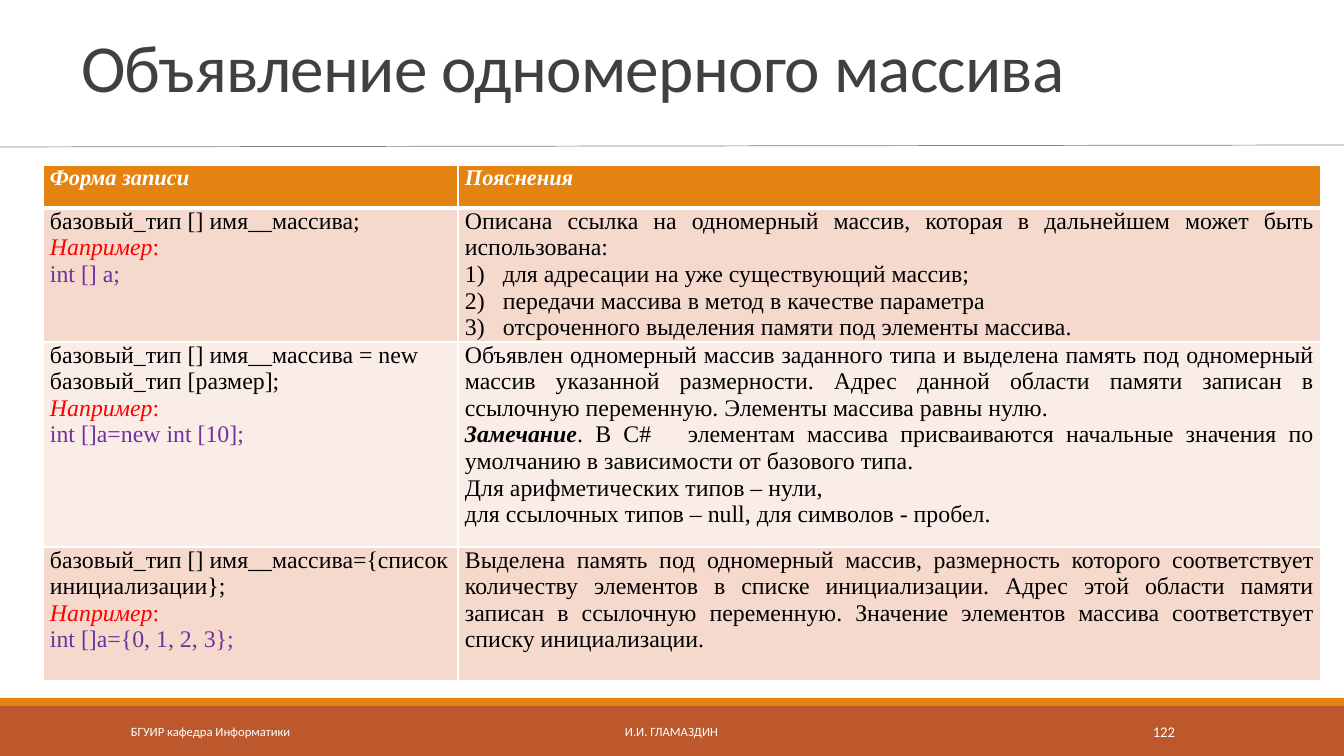
"""Builds the slide on declaring a one-dimensional array."""
from lxml.etree import SubElement
from pptx import Presentation
from pptx.dml.color import RGBColor
from pptx.enum.shapes import MSO_CONNECTOR, MSO_SHAPE
from pptx.enum.text import MSO_ANCHOR, MSO_AUTO_SIZE, PP_ALIGN
from pptx.oxml import parse_xml
from pptx.oxml.ns import nsdecls, qn
from pptx.util import Pt

PX = 914400 * 10 // 1008
HUES = {
    "white": "FFFFFF", "black": "000000", "title": "404040", "rule": "808080",
    "rust": "BD582C", "orange": "E48312", "red": "FF0000", "purple": "7030A0",
    "dark": "F5D9CC", "light": "FAEDE7",
}
SERIF = {"name": "Times New Roman", "size": Pt(17), "bold": False, "italic": False}
HEAD = SERIF | {"size": Pt(16), "bold": True, "italic": True}
NOTE = SERIF | {"bold": True, "italic": True}


def hue(name):
    return RGBColor.from_string(HUES[name])


def write(para, text, tone, form):
    run = para.add_run()
    run.text = text
    for key, value in form.items():
        setattr(run.font, key, value)
    run.font.color.rgb = hue(tone)
    return run


deck = Presentation()
deck.slide_width, deck.slide_height = 1344 * PX, 756 * PX
slide = deck.slides.add_slide(deck.slide_layouts[5])
shapes = slide.shapes

for top, high, tone in [(706, 50, "rust"), (698, 8, "orange")]:
    band = shapes.add_shape(MSO_SHAPE.RECTANGLE, 0, top * PX, 1344 * PX, high * PX)
    band.shadow.inherit = False
    band.fill.solid()
    band.fill.fore_color.rgb = hue(tone)
    band.line.fill.background()

rule = shapes.add_connector(MSO_CONNECTOR.STRAIGHT, 0, 147 * PX, 1344 * PX, 145 * PX)
rule.line.color.rgb = hue("rule")
rule.line.width = Pt(0.5)
SubElement(rule._element.spPr, qn("a:effectLst"))

title = shapes.title
title.left, title.top, title.width, title.height = [n * PX for n in (71, 41, 1055, 70)]
frame = title.text_frame
for key, value in {"word_wrap": True, "auto_size": MSO_AUTO_SIZE.NONE,
                   "vertical_anchor": MSO_ANCHOR.BOTTOM}.items():
    setattr(frame, key, value)
para = frame.paragraphs[0]
para.alignment = PP_ALIGN.LEFT
para.line_spacing = 0.85
run = write(para, "Объявление одномерного массива", "title",
            {"name": "Calibri", "size": Pt(48)})
run.font._element.set("spc", "-50")

rows = [
    ("базовый_тип [] имя__массива;", "int [] a;", [
        "Описана ссылка на одномерный массив, которая в дальнейшем может быть использована:",
        "1) для адресации на уже существующий массив;",
        "1) передачи массива в метод в качестве параметра",
        "1) отсроченного выделения памяти под элементы массива.",
    ]),
    ("базовый_тип [] имя__массива = new базовый_тип [размер];", "int []a=new int [10];", [
        "Объявлен одномерный массив заданного типа и выделена память под одномерный "
        "массив указанной размерности. Адрес данной области памяти записан в "
        "ссылочную переменную. Элементы массива равны нулю.",
        "Замечание|. В C#   элементам массива присваиваются начальные значения по "
        "умолчанию в зависимости от базового типа.",
        "Для арифметических типов – нули,",
        "для ссылочных типов – null, для символов - пробел.",
    ]),
    ("базовый_тип [] имя__массива={список инициализации};", "int []a={0, 1, 2, 3};", [
        "Выделена память под одномерный массив, размерность которого соответствует "
        "количеству элементов в списке инициализации. Адрес этой области памяти "
        "записан в ссылочную переменную. Значение элементов массива соответствует "
        "списку инициализации.",
    ]),
]
table = shapes.add_table(4, 2, 43 * PX, 165 * PX, 1278 * PX, 516 * PX).table
for col, wide in zip(table.columns, (415, 863)):
    col.width = wide * PX
for row, high in zip(table.rows, (43, 134, 205, 134)):
    row.height = high * PX

for r, row in enumerate(table.rows):
    for cell in row.cells:
        for key, value in {"margin_left": 7 * PX, "margin_right": 7 * PX,
                           "margin_top": 0, "margin_bottom": 0}.items():
            setattr(cell, key, value)
        cell.fill.solid()
        cell.fill.fore_color.rgb = hue(("orange", "dark", "light", "dark")[r])
        for i, side in enumerate("LRTB"):
            thick = 3 if (r, side) in [(0, "B"), (1, "T")] else 1
            cell._tc.tcPr.insert(i, parse_xml(
                f'<a:ln{side} {nsdecls("a")} w="{Pt(thick)}"><a:solidFill>'
                f'<a:srgbClr val="{HUES["white"]}"/></a:solidFill></a:ln{side}>'))

for cell, text in zip(table.rows[0].cells, ("Форма записи", "Пояснения")):
    write(cell.text_frame.paragraphs[0], text, "white", HEAD)

for r, (form, code, notes) in enumerate(rows, 1):
    frame = table.cell(r, 0).text_frame
    write(frame.paragraphs[0], form, "black", SERIF)
    para = frame.add_paragraph()
    write(para, "Например", "red", SERIF | {"italic": True})
    write(para, ":", "red", SERIF)
    write(frame.add_paragraph(), code, "purple", SERIF)

    frame = table.cell(r, 1).text_frame
    for i, note in enumerate(notes):
        para = frame.add_paragraph() if i else frame.paragraphs[0]
        para.alignment = PP_ALIGN.JUSTIFY
        if note.startswith("1) "):
            props = para._p.get_or_add_pPr()
            props.set("marL", str(38 * PX))
            props.set("indent", str(-38 * PX))
            tint = SubElement(props, qn("a:buClr"))
            SubElement(tint, qn("a:srgbClr"), val=HUES["black"])
            SubElement(props, qn("a:buFont"), typeface="Times New Roman")
            SubElement(props, qn("a:buAutoNum"), type="arabicParenR")
            tabs = SubElement(props, qn("a:tabLst"))
            SubElement(tabs, qn("a:tab"), pos=str(25 * PX), algn="l")
        lead, bar, rest = note.removeprefix("1) ").partition("|")
        write(para, lead, "black", NOTE if bar else SERIF)
        if bar:
            write(para, rest, "black", SERIF)

for left, wide, text, size, align in [
    (121, 272, "БГУИР кафедра Информатики", 9, PP_ALIGN.LEFT),
    (406, 531, "И.И. ГЛАМАЗДИН", 9, PP_ALIGN.CENTER),
    (1092, 144, "122", 10.5, PP_ALIGN.CENTER),
]:
    frame = shapes.add_textbox(left * PX, 712 * PX, wide * PX, 40 * PX).text_frame
    frame.word_wrap = True
    frame.vertical_anchor = MSO_ANCHOR.MIDDLE
    para = frame.paragraphs[0]
    para.alignment = align
    write(para, text, "white", {"name": "Calibri", "size": Pt(size)})

deck.save("out.pptx")
